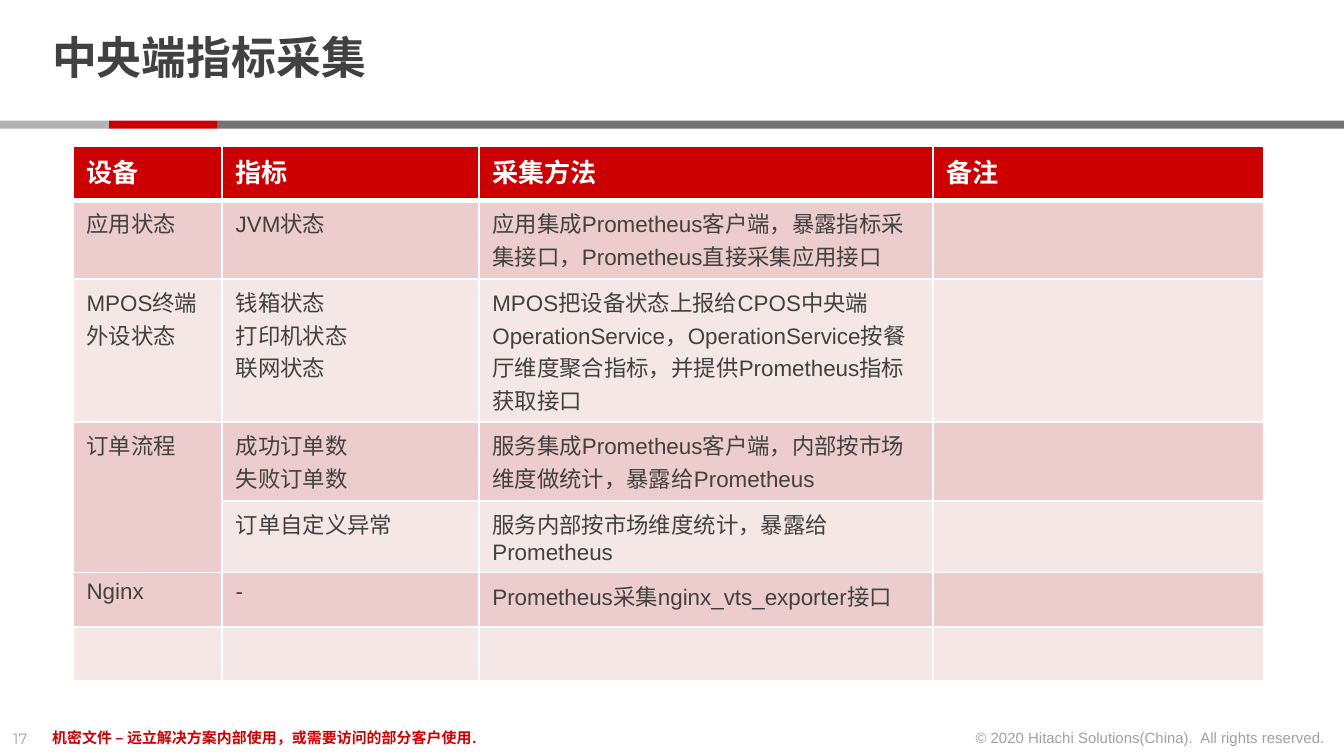
from dataclasses import dataclass

import pptx
import pptx.dml.color
import pptx.enum.shapes
import pptx.enum.text
import pptx.oxml.ns
import pptx.util
from lxml import etree

Pt = pptx.util.Pt
ALIGN = pptx.enum.text.PP_ALIGN
ANCHOR = pptx.enum.text.MSO_ANCHOR

WHITE, RED, DARK, FAINT = "FFFFFF", "CC0000", "414141", "A0A0A0"
BANDS = ("F6E7E7", "ECCCCC")


@dataclass
class Style:
    size: float
    color: str
    bold: bool = False
    font: str = "Arial"


@dataclass
class Label:
    text: str
    left: float
    top: float
    width: float
    height: float
    style: Style
    align: ALIGN = ALIGN.LEFT
    wrap: bool = True


@dataclass
class Bar:
    left: float
    width: float
    color: str


LABELS = [
    Label("17", 0, 387.4, 24.5, 17, Style(8, FAINT, font="Montserrat"), wrap=False),
    Label("© 2020 Hitachi Solutions(China).\u00a0 All rights reserved.", 512.6, 386.6, 204.5, 17,
          Style(8, FAINT), ALIGN.RIGHT, wrap=False),
    Label("机密文件 – 远立解决方案内部使用，或需要访问的部分客户使用.", 20.9, 386.6, 485.3, 17,
          Style(8, RED, bold=True)),
]
TITLE = Label("中央端指标采集", 20.9, 3.6, 555, 57.6, Style(24, DARK, True, "Montserrat"))
BARS = [Bar(116.6, 603.4, "737373"), Bar(58.3, 58.3, RED), Bar(0, 58.3, "B3B3B3")]

COLUMN_WIDTHS = [79.9, 137.5, 243.4, 177.1]
ROW_HEIGHTS = [29.2, 42.3, 76.6, 42.3, 38.3, 29, 29]
ROWS = [
    ["设备", "指标", "采集方法", "备注"],
    ["应用状态", "JVM状态", "应用集成Prometheus客户端，暴露指标采集接口，Prometheus直接采集应用接口", ""],
    ["MPOS终端外设状态", "钱箱状态\n打印机状态\n联网状态",
     "MPOS把设备状态上报给CPOS中央端OperationService，OperationService按餐厅维度聚合指标，"
     "并提供Prometheus指标获取接口", ""],
    ["订单流程", "成功订单数\n失败订单数",
     "服务集成Prometheus客户端，内部按市场维度做统计，暴露给Prometheus", ""],
    ["", "订单自定义异常", "服务内部按市场维度统计，暴露给Prometheus", ""],
    ["Nginx", "-", "Prometheus采集nginx_vts_exporter接口", ""],
    ["", "", "", ""],
]


def rgb(color: str) -> pptx.dml.color.RGBColor:
    return pptx.dml.color.RGBColor.from_string(color)


def write(frame, text: str, style: Style) -> None:
    frame.text = text
    for para in frame.paragraphs:
        for span in para.runs:
            span.font.size = Pt(style.size)
            span.font.name = style.font
            span.font.bold = style.bold
            span.font.color.rgb = rgb(style.color)


def draw_label(page, label: Label):
    box = page.shapes.add_textbox(Pt(label.left), Pt(label.top), Pt(label.width), Pt(label.height))
    frame = box.text_frame
    frame.word_wrap = label.wrap
    write(frame, label.text, label.style)
    frame.paragraphs[0].alignment = label.align
    return frame


def draw_title(page) -> None:
    frame = draw_label(page, TITLE)
    frame.margin_top = frame.margin_bottom = 0
    frame.vertical_anchor = ANCHOR.MIDDLE
    frame.paragraphs[0].line_spacing = 0.85


def draw_bar(page, bar: Bar) -> None:
    shape = page.shapes.add_shape(pptx.enum.shapes.MSO_SHAPE.RECTANGLE,
                                  Pt(bar.left), Pt(64.6), Pt(bar.width), Pt(4.4))
    shape.shadow.inherit = False
    shape.fill.solid()
    shape.fill.fore_color.rgb = rgb(bar.color)
    shape.line.fill.background()


def set_borders(cell, top: float, bottom: float) -> None:
    """Give a cell white borders; must run before the cell's fill is set."""
    qn = pptx.oxml.ns.qn
    properties = cell._tc.get_or_add_tcPr()
    for side, width in (("L", 1), ("R", 1), ("T", top), ("B", bottom)):
        line = etree.SubElement(properties, qn(f"a:ln{side}"), w=str(Pt(width)))
        fill = etree.SubElement(line, qn("a:solidFill"))
        etree.SubElement(fill, qn("a:srgbClr"), val=WHITE)


def draw_table(page) -> None:
    holder = page.shapes.add_table(len(ROWS), len(COLUMN_WIDTHS), Pt(39.2), Pt(78.1),
                                   Pt(sum(COLUMN_WIDTHS)), Pt(sum(ROW_HEIGHTS)))
    table = holder.table
    for column, width in zip(table.columns, COLUMN_WIDTHS):
        column.width = Pt(width)
    for row, height in zip(table.rows, ROW_HEIGHTS):
        row.height = Pt(height)

    for i, texts in enumerate(ROWS):
        header = i == 0
        style = Style(14, WHITE, bold=True) if header else Style(12, DARK)
        for j, text in enumerate(texts):
            cell = table.cell(i, j)
            set_borders(cell, top=3 if i == 1 else 1, bottom=3 if header else 1)
            cell.fill.solid()
            cell.fill.fore_color.rgb = rgb(RED if header else BANDS[i % 2])
            if text:
                write(cell.text_frame, text, style)
    table.cell(3, 0).merge(table.cell(4, 0))


def main() -> None:
    deck = pptx.Presentation()
    deck.slide_width, deck.slide_height = Pt(720), Pt(405)
    page = deck.slides.add_slide(deck.slide_layouts[6])
    for bar in BARS:
        draw_bar(page, bar)
    for label in LABELS:
        draw_label(page, label)
    draw_title(page)
    draw_table(page)
    deck.save("out.pptx")


if __name__ == "__main__":
    main()
